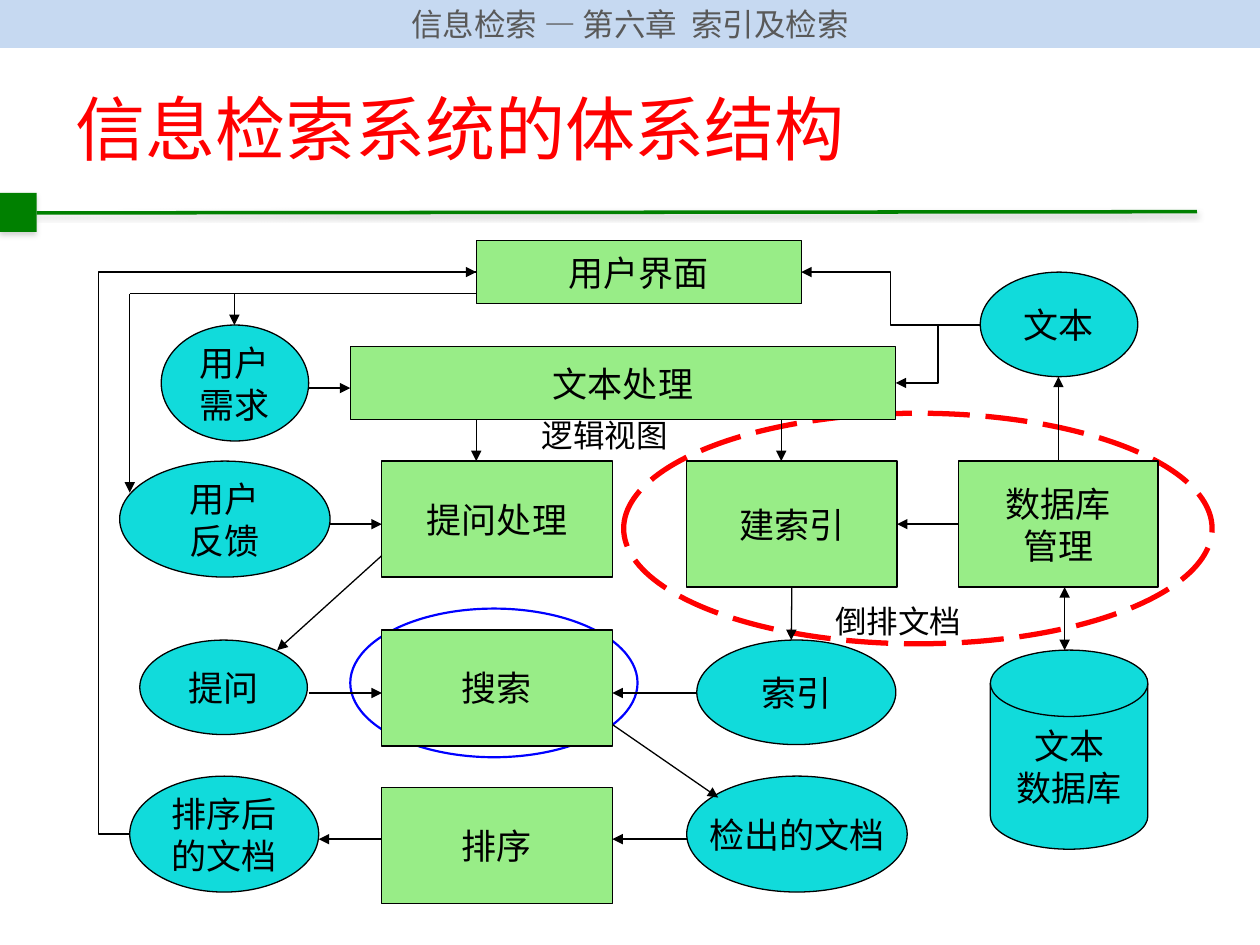
from dataclasses import dataclass

from lxml import etree
from pptx import Presentation
from pptx.dml.color import RGBColor
from pptx.enum import dml, shapes, text
from pptx.oxml import ns
from pptx.util import Inches, Pt


@dataclass(frozen=True)
class Theme:
    """Colours, fonts and type sizes of the slide."""
    band: str = "C6D9F1"
    band_text: str = "595959"
    rule: str = "008000"
    shadow: str = "808080"
    title: str = "FF0000"
    index_ring: str = "FF0000"
    search_ring: str = "0000FF"
    process: str = "98ED87"
    data: str = "11DBDB"
    ink: str = "000000"
    cjk: str = "Noto Sans CJK SC"
    latin: str = "Times New Roman"
    title_pt: int = 40
    node_pt: int = 20
    small_pt: int = 18


THEME = Theme()
SHAPE = shapes.MSO_SHAPE
LINK = shapes.MSO_CONNECTOR
ALIGN = text.PP_ALIGN

RECT, OVAL, DISK = SHAPE.RECTANGLE, SHAPE.OVAL, SHAPE.FLOWCHART_MAGNETIC_DISK
NODES = [
    (DISK, "文本\n数据库", 7.08, 3.25, 1.25, 1.58),
    (RECT, "数据库\n管理", 6.83, 1.75, 1.58, 1),
    (RECT, "建索引", 4.67, 1.75, 1.67, 1),
    (OVAL, "索引", 4.75, 3.17, 1.58, 0.83),
    (RECT, "提问处理", 2.25, 1.75, 1.83, 0.92),
    (RECT, "搜索", 2.25, 3.09, 1.83, 0.92),
    (RECT, "排序", 2.25, 4.34, 1.83, 0.92),
    (OVAL, "排序后\n的文档", 0.25, 4.25, 1.5, 0.92),
    (OVAL, "用户\n反馈", 0.17, 1.75, 1.67, 0.92),
    (RECT, "文本处理", 2, 0.84, 4.33, 0.58),
    (RECT, "用户界面", 3, 0, 2.58, 0.5),
    (OVAL, "检出的文档", 4.67, 4.25, 1.75, 0.92),
    (OVAL, "用户\n需求", 0.5, 0.67, 1.17, 0.92),
    (OVAL, "文本", 7, 0.25, 1.25, 0.83),
    (OVAL, "提问", 0.33, 3.17, 1.33, 0.75),
]
ARROWS = [
    (1.67, 1.17, 2, 1.17), (5.42, 1.42, 5.42, 1.75),
    (4.75, 3.59, 4.08, 3.59), (4.08, 3.84, 4.92, 4.42),
    (4.67, 4.75, 4.08, 4.75), (2.25, 4.75, 1.75, 4.75),
    (1.83, 2.25, 2.25, 2.25), (3, 1.42, 3, 1.75),
    (2.25, 2.5, 1.42, 3.25), (1.67, 3.59, 2.25, 3.59),
    (1.08, 0.42, 1.08, 0.67), (0.25, 0.42, 0.25, 2),
]
PLAIN_LINES = [(3, 0.42, 0.25, 0.42), (3, 0.25, 0.25, 0.25)]
ELBOWS = [
    ((7, 0.67, 5.58, 0.25), 0.5),
    ((7, 0.67, 6.33, 1.13), 0.5),
    ((0.25, 4.71, 3, 0.25), -0.091),
]
LABELS = [("逻辑视图", 3.42, 1.34), ("倒排文档", 5.75, 2.82)]


def rgb(color):
    """Return a colour object for a hex string."""
    return RGBColor.from_string(color)


def child(parent, tag, **attrs):
    """Append a DrawingML element."""
    return etree.SubElement(parent, ns.qn(tag), **attrs)


def write(tf, words, size, color, font, align):
    """Fill a text frame with evenly formatted text."""
    tf.text = words
    for p in tf.paragraphs:
        p.alignment = align
        for r in p.runs:
            r.font.size, r.font.name = Pt(size), font
            r.font.color.rgb = rgb(color)
            child(r.font._element, "a:ea", typeface=THEME.cjk)


def add_box(s, kind, box, fill=None, line=None, width=0.75):
    """Add a preset shape without its default shadow."""
    sp = s.shapes.add_shape(kind, *map(Inches, box))
    sp.shadow.inherit = False
    if fill:
        sp.fill.solid()
        sp.fill.fore_color.rgb = rgb(fill)
    else:
        sp.fill.background()
    if line:
        sp.line.color.rgb = rgb(line)
        sp.line.width = Pt(width)
    else:
        sp.line.fill.background()
    return sp


def add_line(s, ends, color=THEME.ink, width=0.75, kind=LINK.STRAIGHT, marks=()):
    """Add a connector with arrowheads at the marked ends."""
    cx = s.shapes.add_connector(kind, *map(Inches, ends))
    cx.line.color.rgb = rgb(color)
    cx.line.width = Pt(width)
    for mark in marks:
        child(cx.line._get_or_add_ln(), mark, type="triangle")
    child(cx._element.spPr, "a:effectLst")
    return cx


def add_shadow(sp, alpha, dist):
    """Give a shape or connector a soft shadow below it."""
    effects = sp._element.spPr.find(ns.qn("a:effectLst"))
    shadow = child(effects, "a:outerShdw", blurRad=str(Pt(3.1)), dist=str(Pt(dist)),
                   dir="5400000", rotWithShape="0")
    color = child(shadow, "a:srgbClr", val=THEME.shadow)
    child(color, "a:alpha", val=str(alpha * 1000))


def chapter_band(s, box):
    """Draw the chapter band."""
    sp = add_box(s, RECT, box, THEME.band)
    sp.text_frame.vertical_anchor = text.MSO_ANCHOR.MIDDLE
    write(sp.text_frame, "信息检索 — 第六章  索引及检索", THEME.small_pt,
          THEME.band_text, THEME.cjk, ALIGN.CENTER)


def slide_title(s, box):
    """Place and format the title."""
    sp = s.shapes.title
    sp.left, sp.top, sp.width, sp.height = map(Inches, box)
    sp.text_frame.vertical_anchor = text.MSO_ANCHOR.MIDDLE
    write(sp.text_frame, "信息检索系统的体系结构", THEME.title_pt,
          THEME.title, THEME.cjk, ALIGN.JUSTIFY)


def title_rule(s, box):
    """Draw the green block and the rule beside it."""
    x, y, w, h = box
    block = 0.29
    add_shadow(add_box(s, RECT, (x, y, block, h), THEME.rule), 35, 1.8)
    rule = add_line(s, (x + block, y + 0.16, x + w, y + 0.15), THEME.rule, 2)
    add_shadow(rule, 38, 1.6)


def architecture(s, box):
    """Draw the retrieval system diagram."""
    x, y = box[:2]

    def at(ends):
        return ends[0] + x, ends[1] + y, ends[2] + x, ends[3] + y

    def place(left, top, w, h):
        return left + x, top + y, w, h

    ring = add_box(s, OVAL, place(4.17, 1.37, 4.67, 1.83), None, THEME.index_ring, 3)
    ring.line.dash_style = dml.MSO_LINE.LONG_DASH
    add_box(s, OVAL, place(2, 2.92, 2.28, 1.18), None, THEME.search_ring, 1.25)

    nodes = {}
    for kind, words, *spot in NODES:
        fill = THEME.process if kind == RECT else THEME.data
        sp = nodes[words] = add_box(s, kind, place(*spot), fill, THEME.ink)
        tf = sp.text_frame
        tf.word_wrap = False
        tf.vertical_anchor = text.MSO_ANCHOR.MIDDLE
        write(tf, words, THEME.node_pt, THEME.ink, THEME.latin, ALIGN.CENTER)

    tail = ("a:tailEnd",)
    for ends in ARROWS:
        add_line(s, at(ends), marks=tail)
    for ends in PLAIN_LINES:
        add_line(s, at(ends))
    add_line(s, at((7.67, 2.75, 7.67, 3.25)), marks=("a:headEnd", "a:tailEnd"))
    for ends, bend in ELBOWS:
        cx = add_line(s, at(ends), kind=LINK.ELBOW, marks=tail)
        guides = cx._element.spPr.prstGeom.get_or_add_avLst()
        child(guides, "a:gd", name="adj1", fmla=f"val {round(bend * 100000)}")

    manager, indexer = nodes["数据库\n管理"], nodes["建索引"]
    cx = add_line(s, at((6.83, 2.25, 6.34, 2.25)), marks=tail)
    cx.begin_connect(manager, 1)
    cx.end_connect(indexer, 3)
    cx = add_line(s, at((7.62, 1.75, 7.62, 1.08)), marks=tail)
    cx.begin_connect(manager, 0)
    cx = add_line(s, at((5.5, 2.75, 5.5, 3.17)), marks=tail)
    cx.begin_connect(indexer, 2)

    for words, left, top in LABELS:
        tf = s.shapes.add_textbox(*map(Inches, place(left, top, 1.21, 0.4))).text_frame
        tf.word_wrap = False
        tf.auto_size = text.MSO_AUTO_SIZE.SHAPE_TO_FIT_TEXT
        write(tf, words, THEME.small_pt, THEME.ink, THEME.latin, ALIGN.LEFT)


def main():
    """Build and save the slide."""
    prs = Presentation()
    prs.slide_width, prs.slide_height = Inches(10), Inches(7.5)
    s = prs.slides.add_slide(prs.slide_layouts[5])
    title_rule(s, (0, 1.53, 9.5, 0.31))
    chapter_band(s, (0, 0, 10, 0.38))
    slide_title(s, (0.5, 0.56, 9, 0.91))
    architecture(s, (0.78, 1.91, 8.84, 5.26))
    prs.save("out.pptx")


if __name__ == "__main__":
    main()
